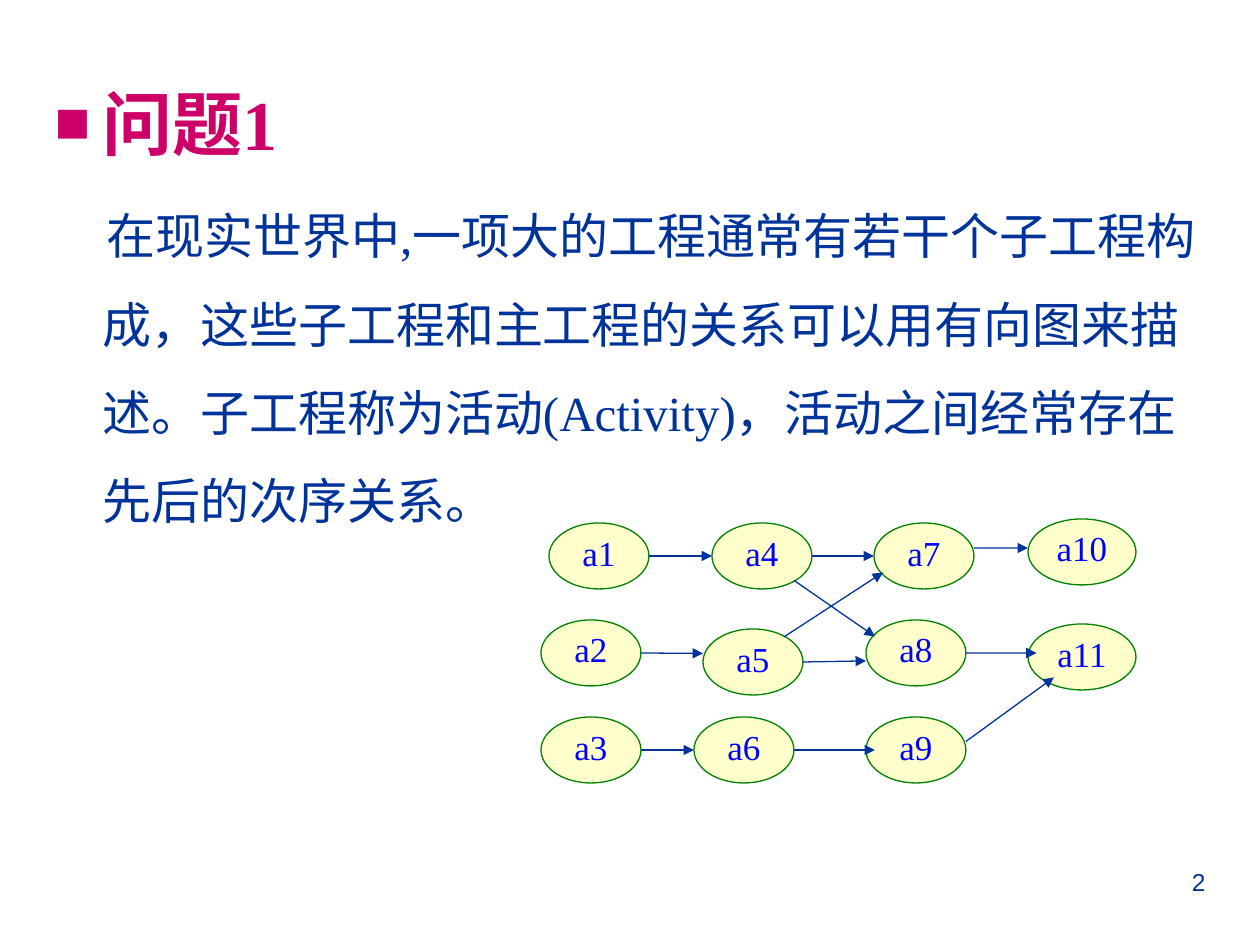
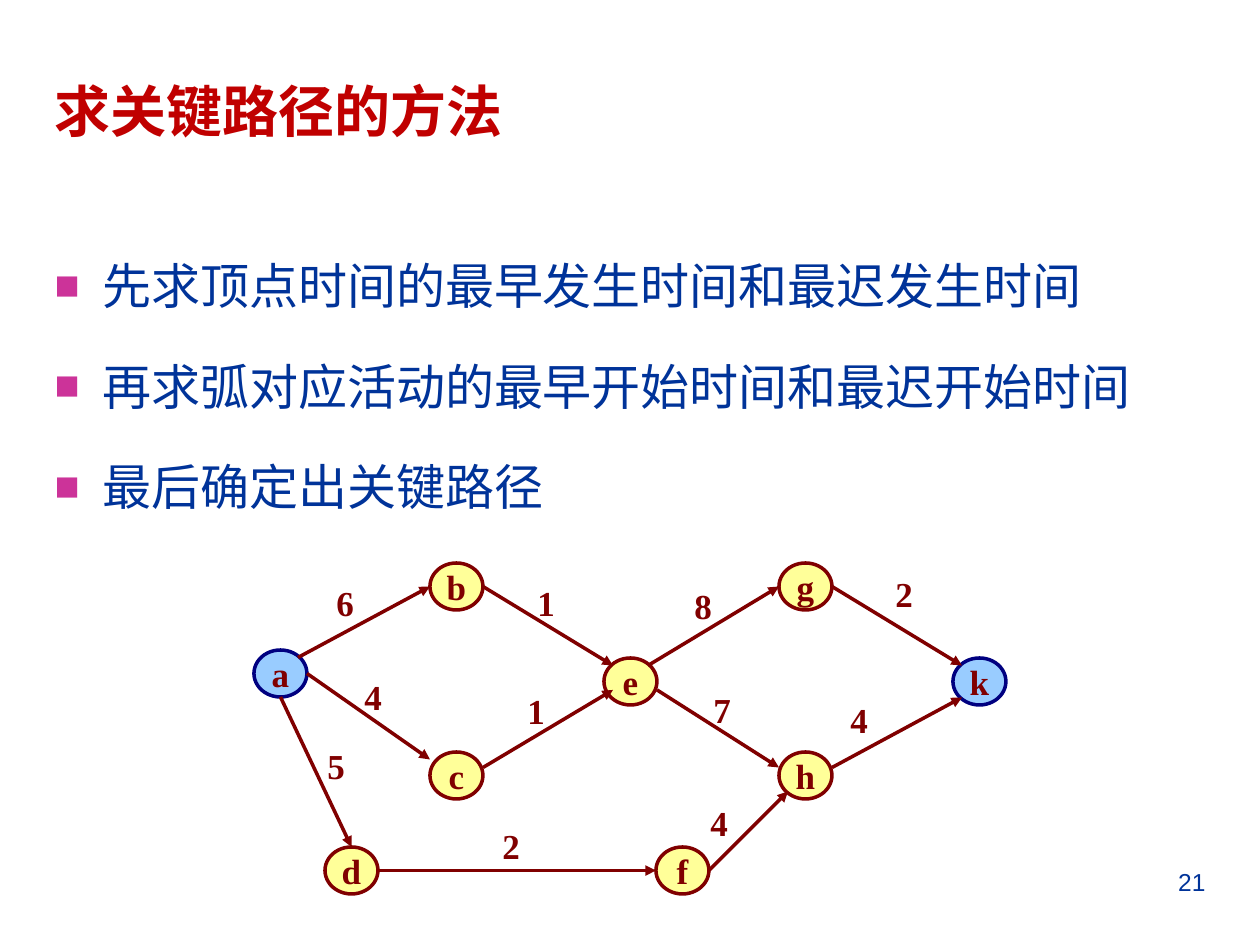
from dataclasses import dataclass

from lxml import etree
from pptx import Presentation
from pptx.dml.color import RGBColor
from pptx.enum.shapes import MSO_CONNECTOR, MSO_SHAPE
from pptx.enum.text import MSO_ANCHOR, MSO_AUTO_SIZE, PP_ALIGN
from pptx.oxml.ns import qn
from pptx.util import Emu, Pt

STRAIGHT, ELLIPSE = MSO_CONNECTOR.STRAIGHT, MSO_SHAPE.OVAL
TOP, MIDDLE = MSO_ANCHOR.TOP, MSO_ANCHOR.MIDDLE
LEFT, CENTER, RIGHT = PP_ALIGN.LEFT, PP_ALIGN.CENTER, PP_ALIGN.RIGHT
NO_FIT = MSO_AUTO_SIZE.NONE


@dataclass(frozen=True)
class Theme:
    serif: str = "Times New Roman"
    sans: str = "Arial"
    navy: str = "003399"
    pink: str = "CC0066"
    orchid: str = "CC3399"
    red: str = "C00000"
    maroon: str = "800000"
    blue: str = "0000FF"
    heading: int = 40
    title: int = 32
    body: int = 28
    label: int = 20
    page: int = 14


T = Theme()
HEADING_FONT = dict(name=T.serif, size=T.heading, color=T.pink, bold=True)
TITLE_FONT = dict(name=T.sans, size=T.title, color=T.red, bold=True)
TEXT_FONT = dict(name=T.serif, size=T.body, color=T.navy, bold=False)
LIST_FONT = dict(TEXT_FONT, name=T.sans)
PAGE_FONT = dict(name=T.sans, size=T.page, color=T.navy)
ACTIVITY_FONT = dict(name=T.serif, size=T.label, color=T.blue)
EVENT_FONT = dict(name=T.serif, size=T.label, color=T.maroon, bold=True)

# Lengths in px, 126 to the inch
PX = 914400 / 126
SLIDE = (1260, 945)
TITLE_BOX = (42, 32, 1176, 157)
UPPER_BODY = (42, 32, 1176, 620)
LOWER_BODY = (42, 220, 1176, 620)
PAGE_BOX = (903, 861, 315, 66)
HANG = 48
FIRST_LINE = 4
WEIGHT_SIZE = (43, 55)

HEADING = "问题1"
INTRO = ("在现实世界中,一项大的工程通常有若干个子工程构成，这些子工程和主工程的关系可以用有向图来描述。"
         "子工程称为活动(Activity)，活动之间经常存在先后的次序关系。")
METHOD_TITLE = "求关键路径的方法"
METHOD_STEPS = [
    "先求顶点时间的最早发生时间和最迟发生时间",
    "再求弧对应活动的最早开始时间和最迟开始时间",
    "最后确定出关键路径",
]

# Node: left, top, width
ACTIVITIES = {
    "a1": (549, 523, 100), "a10": (1028, 519, 108), "a4": (712, 523, 100),
    "a7": (874, 523, 100), "a8": (866, 620, 100), "a2": (541, 620, 100),
    "a5": (703, 629, 100), "a3": (541, 717, 100), "a11": (1028, 624, 108),
    "a6": (694, 717, 100), "a9": (866, 717, 100),
}
EVENTS = {
    "a": (254, 650, 53), "b": (430, 563, 53), "c": (430, 752, 53),
    "d": (325, 847, 53), "e": (604, 658, 53), "f": (656, 847, 53),
    "g": (779, 563, 53), "h": (779, 752, 53), "k": (953, 658, 53),
}

# Arrow ends as fractions of the node's box
E, W, N, S = (1, .5), (0, .5), (.5, 0), (.5, 1)
NE, NW, SW = (.83, .16), (.17, .16), (.17, .84)
ACTIVITY_EDGES = [
    ("a1", "a4", E, W), ("a4", "a7", E, W),
    ("a7", "a10", (1, .38), (0, .44)), ("a2", "a5", E, (0, .37)),
    ("a5", "a8", E, (0, .62)), ("a8", "a11", E, (.08, .44)),
    ("a4", "a8", (.82, .87), (.09, .25)),
    ("a5", "a7", (.81, .12), (.09, .75)),
    ("a3", "a6", E, W), ("a6", "a9", E, (.09, .5)),
    ("a9", "a11", (1, .37), (.24, .81)),
]
EVENT_EDGES = [
    ("a", "b", NE, W), ("a", "c", E, (0, .16)),
    ("c", "e", (1, .33), (.17, .68)), ("b", "e", E, NW),
    ("e", "g", NE, W), ("g", "k", E, NW), ("h", "k", (1, .33), SW),
    ("e", "h", (1, .68), (0, .33)), ("a", "d", S, N),
    ("d", "f", E, W), ("f", "h", E, SW),
]
# Weight: text, left, top
WEIGHTS = [
    ("6", 324, 575), ("4", 352, 669), ("5", 315, 738), ("2", 490, 818),
    ("1", 525, 575), ("1", 515, 683), ("8", 682, 578), ("7", 701, 682),
    ("2", 883, 566), ("4", 838, 692), ("4", 698, 795),
]

PALE_YELLOW = dict(fill="FFFFCC", line="008000")
YELLOW = dict(fill="FFFF99", line=T.maroon)
BLUE = dict(fill="99CCFF", line="000080")
ACTIVITY_NET = dict(
    nodes=ACTIVITIES, edges=ACTIVITY_EDGES, height=66, width=.75,
    arrow=T.navy, font=ACTIVITY_FONT, spacing=.8, look=PALE_YELLOW, ends={})
EVENT_NET = dict(
    nodes=EVENTS, edges=EVENT_EDGES, height=47, width=2,
    arrow=T.maroon, font=EVENT_FONT, spacing=1.0, look=YELLOW,
    ends={"a": BLUE, "k": BLUE})


def px(*values):
    return [Emu(round(v * PX)) for v in values]


def rgb(code):
    return RGBColor.from_string(code)


def write(p, text, font, **paragraph):
    for key, value in paragraph.items():
        setattr(p, key, value)
    r = p.add_run()
    r.text = text
    for key, value in font.items():
        if key == "color":
            r.font.color.rgb = rgb(value)
        else:
            setattr(r.font, key, Pt(value) if key == "size" else value)


def place(sp, box, anchor):
    sp.left, sp.top, sp.width, sp.height = px(*box)
    tf = sp.text_frame
    tf.word_wrap, tf.auto_size, tf.vertical_anchor = True, NO_FIT, anchor
    return tf


def set_bullet(p, color=None, indent=-HANG):
    """Hang the paragraph on a coloured square, or on nothing."""
    pPr = p._p.get_or_add_pPr()
    margin, first = px(HANG, indent)
    pPr.set("marL", str(margin))
    pPr.set("indent", str(first))
    if color is None:
        etree.SubElement(pPr, qn("a:buNone"))
        return
    clr = etree.SubElement(pPr, qn("a:buClr"))
    for parent, tag, key, value in [
            (clr, "a:srgbClr", "val", color),
            (pPr, "a:buSzPct", "val", "85000"),
            (pPr, "a:buFont", "typeface", T.sans),
            (pPr, "a:buChar", "char", "■")]:
        etree.SubElement(parent, qn(tag)).set(key, value)


def fill_body(s, box, items):
    """Items: text, font, bullet colour, first-line indent."""
    tf = place(s.placeholders[1], box, TOP)
    for i, (text, font, color, indent) in enumerate(items):
        p = tf.add_paragraph() if i else tf.paragraphs[0]
        set_bullet(p, color, indent)
        write(p, text, font, alignment=LEFT, line_spacing=1.5,
              space_before=Pt(7 if i else 0))


def add_text(s, box, text, font, align=LEFT, wrap=True):
    tf = s.shapes.add_textbox(*px(*box)).text_frame
    tf.word_wrap = wrap
    write(tf.paragraphs[0], text, font, alignment=align)


def add_node(s, name, net):
    left, top, width = net["nodes"][name]
    look = net["ends"].get(name, net["look"])
    sp = s.shapes.add_shape(ELLIPSE, *px(left, top, width, net["height"]))
    sp.shadow.inherit = False
    sp.fill.solid()
    sp.fill.fore_color.rgb = rgb(look["fill"])
    sp.line.color.rgb = rgb(look["line"])
    sp.line.width = Pt(net["width"])
    tf = sp.text_frame
    tf.word_wrap, tf.vertical_anchor = False, MIDDLE
    write(tf.paragraphs[0], name, net["font"], alignment=CENTER,
          line_spacing=net["spacing"])
    return sp


def point_on(sp, at):
    return (Emu(round(sp.left + at[0] * sp.width)),
            Emu(round(sp.top + at[1] * sp.height)))


def add_arrow(s, start, end, net):
    line = s.shapes.add_connector(STRAIGHT, *start, *end)
    line.line.color.rgb = rgb(net["arrow"])
    line.line.width = Pt(net["width"])
    ln = line.line._get_or_add_ln()
    etree.SubElement(ln, qn("a:tailEnd")).set("type", "triangle")
    etree.SubElement(line._element.spPr, qn("a:effectLst"))


def draw_net(s, net):
    nodes = {name: add_node(s, name, net) for name in net["nodes"]}
    for start, end, leave, arrive in net["edges"]:
        add_arrow(s, point_on(nodes[start], leave),
                  point_on(nodes[end], arrive), net)


def new_slide(prs, number, title=None):
    s = prs.slides.add_slide(prs.slide_layouts[1])
    sp = s.shapes.title
    if title:
        tf = place(sp, TITLE_BOX, MIDDLE)
        write(tf.paragraphs[0], title, TITLE_FONT, alignment=LEFT)
    else:
        sp._element.getparent().remove(sp._element)
    add_text(s, PAGE_BOX, number, PAGE_FONT, RIGHT)
    return s


def main():
    prs = Presentation()
    prs.slide_width, prs.slide_height = px(*SLIDE)

    s = new_slide(prs, "2")
    fill_body(s, UPPER_BODY, [(HEADING, HEADING_FONT, T.pink, -HANG),
                              (INTRO, TEXT_FONT, None, FIRST_LINE)])
    draw_net(s, ACTIVITY_NET)

    s = new_slide(prs, "21", METHOD_TITLE)
    fill_body(s, LOWER_BODY, [(step, LIST_FONT, T.orchid, -HANG)
                              for step in METHOD_STEPS])
    draw_net(s, EVENT_NET)
    for text, left, top in WEIGHTS:
        add_text(s, (left, top, *WEIGHT_SIZE), text, EVENT_FONT, wrap=False)

    prs.save("out.pptx")


if __name__ == "__main__":
    main()
